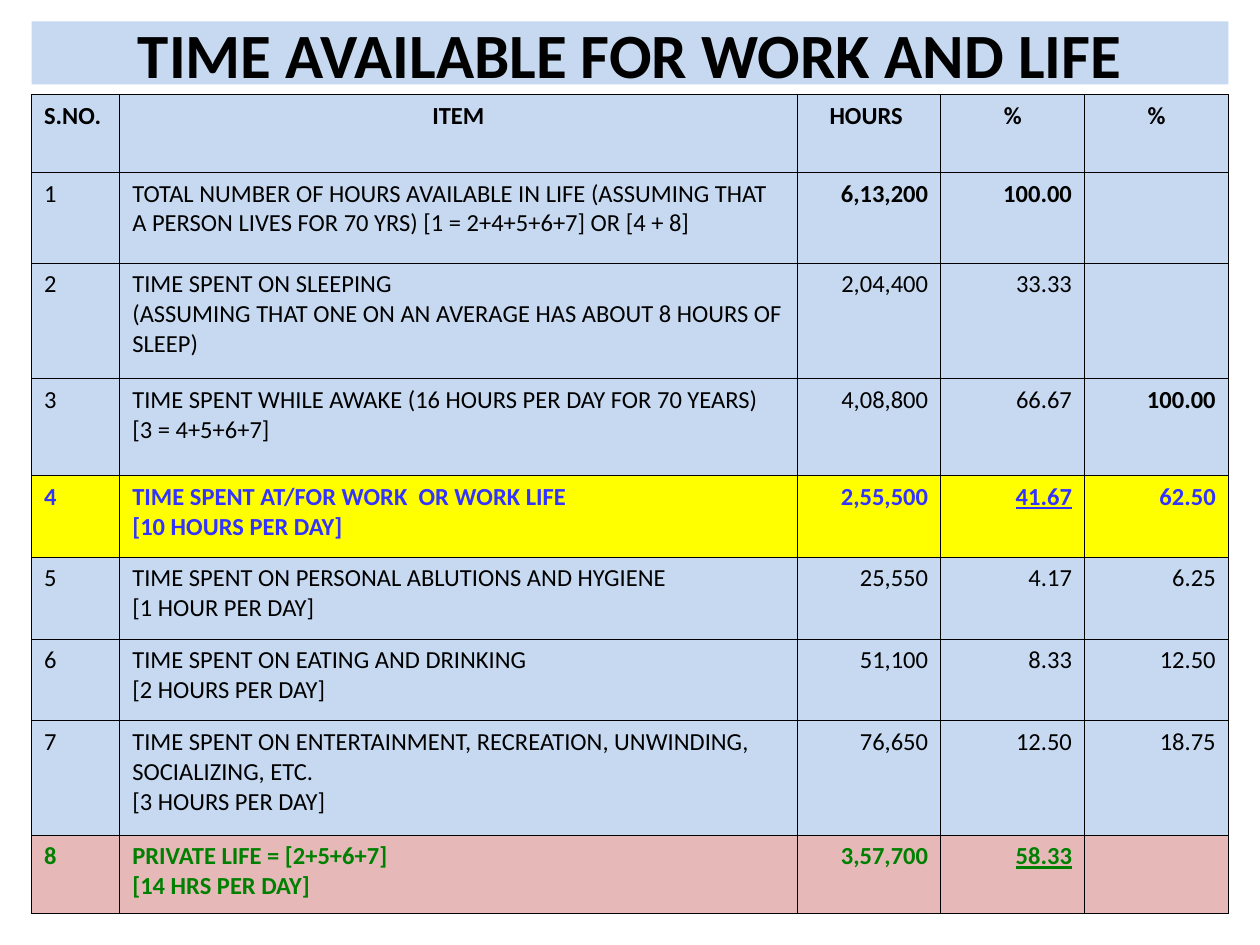
"""Build a slide that shows how the hours of a life divide into work and private life."""
from dataclasses import dataclass

from lxml import etree
from pptx import Presentation
from pptx import util as u
from pptx.dml.color import RGBColor
from pptx.enum import text
from pptx.oxml.ns import qn


@dataclass(frozen=True)
class Theme:
    """Hold the colours, font and sizes of the slide."""
    font: str = "Calibri"
    title_size: float = 36
    body_size: float = 14
    border_width: float = 0.45
    ink: str = "000000"
    panel: str = "C6D9F1"
    work_fill: str = "FFFF00"
    work_ink: str = "3333FF"
    private_fill: str = "E6B9B8"
    private_ink: str = "008000"


THEME = Theme()
LEFT, CENTER, RIGHT = text.PP_ALIGN.LEFT, text.PP_ALIGN.CENTER, text.PP_ALIGN.RIGHT
TITLE = "TIME AVAILABLE FOR WORK AND LIFE"
COLUMN_WIDTHS = (0.7, 5.37, 1.14, 1.14, 1.14)
ROW_HEIGHTS = (0.62, 0.72, 0.92, 0.77, 0.65, 0.65, 0.65, 0.91, 0.62)
HEADER_ALIGNMENTS = (LEFT, CENTER, CENTER, CENTER, CENTER)
BODY_ALIGNMENTS = (LEFT, LEFT, RIGHT, RIGHT, RIGHT)
ROWS = (
    ("S.NO.", "ITEM", "HOURS ", "%", "%"),
    ("1", "TOTAL NUMBER OF HOURS AVAILABLE IN LIFE (ASSUMING THAT A PERSON LIVES "
     "FOR 70 YRS) [1 = 2+4+5+6+7] OR [4 + 8]", "6,13,200", "100.00", ""),
    ("2", "TIME SPENT ON SLEEPING\n(ASSUMING THAT ONE ON AN AVERAGE HAS ABOUT "
     "8 HOURS OF SLEEP)", "2,04,400", "33.33", ""),
    ("3", "TIME SPENT WHILE AWAKE (16 HOURS PER DAY FOR 70 YEARS)\n[3 = 4+5+6+7]",
     "4,08,800", "66.67", "100.00"),
    ("4", "TIME SPENT AT/FOR WORK  OR WORK LIFE\n[10 HOURS PER DAY]",
     "2,55,500", "41.67", "62.50"),
    ("5", "TIME SPENT ON PERSONAL ABLUTIONS AND HYGIENE\n[1 HOUR PER DAY]",
     "25,550", "4.17", "6.25"),
    ("6", "TIME SPENT ON EATING AND DRINKING\n[2 HOURS PER DAY]",
     "51,100", "8.33", "12.50"),
    ("7", "TIME SPENT ON ENTERTAINMENT, RECREATION, UNWINDING, SOCIALIZING, ETC.\n"
     "[3 HOURS PER DAY]", "76,650", "12.50", "18.75"),
    ("8", "PRIVATE LIFE = [2+5+6+7]\n[14 HRS PER DAY]", "3,57,700", "58.33", ""),
)
ROW_COLOURS = {4: (THEME.work_fill, THEME.work_ink),
               8: (THEME.private_fill, THEME.private_ink)}
BOLD_ROWS = {0, 4, 8}
BOLD_CELLS = {(1, 2), (1, 3), (3, 4)}
UNDERLINED_CELLS = {(4, 3), (8, 3)}


def apply_format(target, values):
    """Set each named attribute of the target."""
    for name, value in values.items():
        setattr(target, name, value)


def paint(target, colour):
    """Fill a shape or cell with a solid colour."""
    target.fill.solid()
    target.fill.fore_color.rgb = RGBColor.from_string(colour)


def format_paragraph(paragraph, alignment, size, colour, **font_values):
    """Align a paragraph and format its font."""
    paragraph.alignment = alignment
    apply_format(paragraph.font, {"name": THEME.font, "size": u.Pt(size), **font_values})
    paragraph.font.color.rgb = RGBColor.from_string(colour)


def add_borders(cell):
    """Draw a thin line on every side of a cell."""
    properties = cell._tc.get_or_add_tcPr()
    for side in ("a:lnL", "a:lnR", "a:lnT", "a:lnB"):
        line = etree.SubElement(properties, qn(side), w=str(u.Pt(THEME.border_width)))
        fill = etree.SubElement(line, qn("a:solidFill"))
        etree.SubElement(fill, qn("a:srgbClr"), val=THEME.ink)


def place_title(slide, box):
    """Place the title banner in the box."""
    title = slide.shapes.title
    apply_format(title, dict(zip(("left", "top", "width", "height"), box)))
    paint(title, THEME.panel)
    frame = title.text_frame
    frame.text = TITLE
    apply_format(frame, {"auto_size": text.MSO_AUTO_SIZE.NONE, "word_wrap": True,
                         "vertical_anchor": text.MSO_ANCHOR.MIDDLE})
    format_paragraph(frame.paragraphs[0], CENTER, THEME.title_size, THEME.ink, bold=True)


def fill_cell(cell, row, column):
    """Write and format one cell of the hours table."""
    fill, ink = ROW_COLOURS.get(row, (THEME.panel, THEME.ink))
    alignments = BODY_ALIGNMENTS if row else HEADER_ALIGNMENTS
    add_borders(cell)
    paint(cell, fill)
    cell.text_frame.text = ROWS[row][column]
    for paragraph in cell.text_frame.paragraphs:
        format_paragraph(paragraph, alignments[column], THEME.body_size, ink,
                         bold=row in BOLD_ROWS or (row, column) in BOLD_CELLS,
                         underline=(row, column) in UNDERLINED_CELLS)


def place_hours_table(slide, box):
    """Place the hours table, sharing the box among its columns and rows."""
    left, top, width, height = box
    table = slide.shapes.add_table(len(ROWS), len(COLUMN_WIDTHS), *box).table
    apply_format(table, {"first_row": False, "horz_banding": False})
    for column, share in zip(table.columns, COLUMN_WIDTHS):
        column.width = int(width * share / sum(COLUMN_WIDTHS))
    for row, share in zip(table.rows, ROW_HEIGHTS):
        row.height = int(height * share / sum(ROW_HEIGHTS))
    for row in range(len(ROWS)):
        for column in range(len(COLUMN_WIDTHS)):
            fill_cell(table.cell(row, column), row, column)


def main():
    """Build and save the presentation."""
    presentation = Presentation()
    apply_format(presentation, {"slide_width": u.Inches(10), "slide_height": u.Inches(7.5)})
    slide = presentation.slides.add_slide(presentation.slide_layouts.get_by_name("Title Only"))
    margin = u.Inches(0.25)
    width = presentation.slide_width - 2 * margin
    table_top = 3 * margin
    table_height = presentation.slide_height - table_top - margin
    place_title(slide, (margin, u.Inches(0.17), width, 2 * margin))
    place_hours_table(slide, (margin, table_top, width, table_height))
    presentation.save("out.pptx")


if __name__ == "__main__":
    main()
